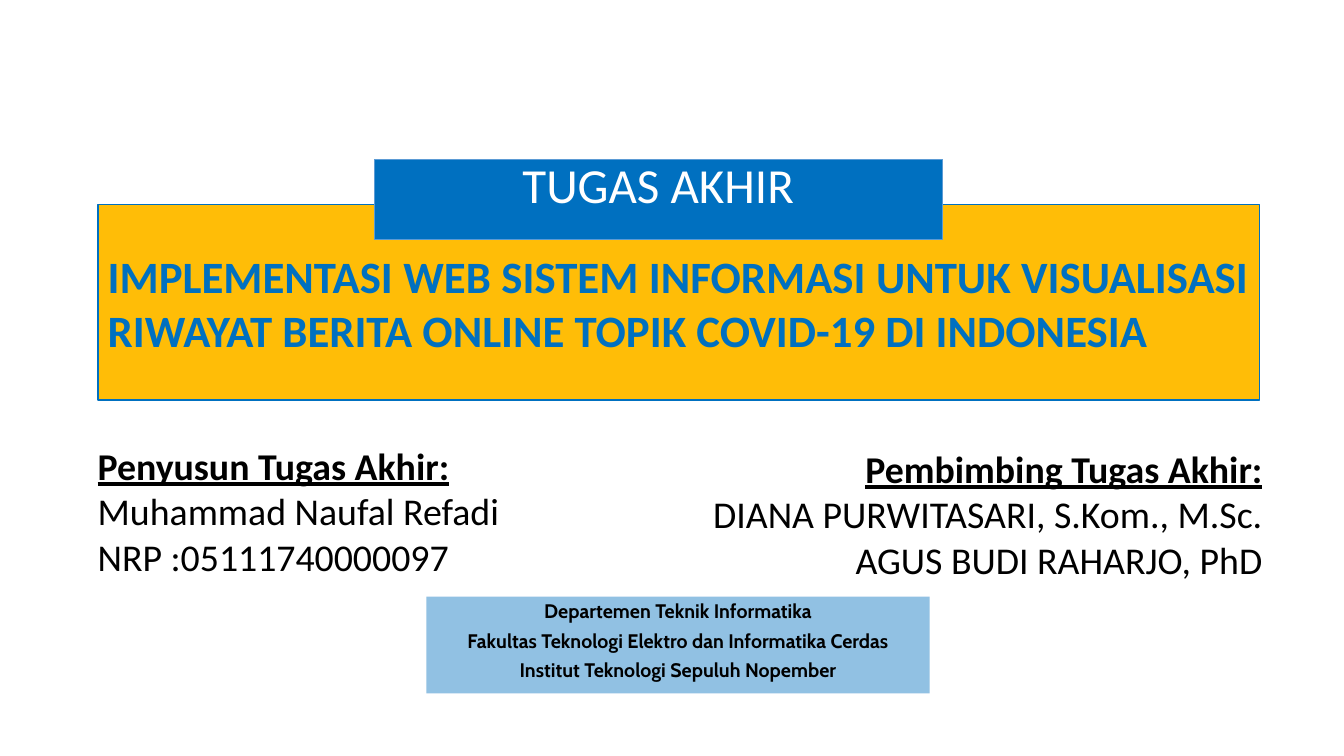
"""Build the title slide of a final-project presentation."""
from lxml import etree
from pptx import Presentation
from pptx import util as u
from pptx.dml.color import RGBColor
from pptx.enum import shapes, text
from pptx.oxml.ns import qn

COLORS = {
    "blue": "0070C0",
    "edge": "5B9BD5",
    "gold": "FFBD07",
    "black": "000000",
    "white": "FFFFFF",
}
ALIGN = text.PP_ALIGN
ANCHOR = text.MSO_ANCHOR


def color(name):
    """Return the named colour."""
    return RGBColor.from_string(COLORS[name])


def set_all(target, values):
    """Set each attribute of target from a dict."""
    for name, value in values.items():
        setattr(target, name, value)


def write(shape, lines, ink, font, layout, heading=None, frame=None):
    """Write one paragraph per line, the first with extra heading format."""
    set_all(shape.text_frame, {"word_wrap": True, **(frame or {})})
    shape.text_frame.text = "\n".join(lines)
    for index, paragraph in enumerate(shape.text_frame.paragraphs):
        set_all(paragraph, layout)
        set_all(paragraph.font, {**font, **(heading or {} if index == 0 else {})})
        paragraph.font.color.rgb = color(ink)


def add_panel(slide, box, fill, line=None, width=1, opacity=None):
    """Add a filled rectangle with an optional outline and opacity percent."""
    shape = slide.shapes.add_shape(
        shapes.MSO_SHAPE.RECTANGLE, *map(u.Inches, box))
    shape.shadow.inherit = False
    shape.fill.solid()
    shape.fill.fore_color.rgb = color(fill)
    if opacity:
        tone = shape.fill._xPr.find(qn("a:solidFill"))[0]
        etree.SubElement(tone, qn("a:alpha"), val=str(opacity * 1000))
    if line:
        shape.line.color.rgb = color(line)
        shape.line.width = u.Pt(width)
    else:
        shape.line.fill.background()
    return shape


def add_people(slide, box, lines, alignment):
    """Add a text box with an underlined heading above names."""
    shape = slide.shapes.add_textbox(*map(u.Inches, box))
    write(shape, lines, "black", {"name": "Calibri", "size": u.Pt(27)},
          {"alignment": alignment}, heading={"bold": True, "underline": True})


def main():
    """Build and save the slide."""
    presentation = Presentation()
    set_all(presentation, {"slide_width": u.Inches(13.33),
                           "slide_height": u.Inches(7.5)})
    slide = presentation.slides.add_slide(presentation.slide_layouts[6])

    title = add_panel(slide, (0.97, 2.03, 11.52, 1.94), "gold", "blue")
    write(title,
          ["IMPLEMENTASI WEB SISTEM INFORMASI UNTUK VISUALISASI "
           "RIWAYAT BERITA ONLINE TOPIK COVID-19 DI INDONESIA"],
          "blue", {"name": "Calibri", "size": u.Pt(32), "bold": True},
          {"alignment": ALIGN.JUSTIFY},
          frame={"vertical_anchor": ANCHOR.MIDDLE})

    add_people(slide, (0.87, 4.34, 4.77, 1.92),
               ["Penyusun Tugas Akhir:", "Muhammad Naufal Refadi",
                "NRP :05111740000097"], ALIGN.LEFT)
    add_people(slide, (6.35, 4.37, 6.27, 1.46),
               ["Pembimbing Tugas Akhir:", "DIANA PURWITASARI, S.Kom., M.Sc.",
                "AGUS BUDI RAHARJO, PhD"], ALIGN.RIGHT)

    label = add_panel(slide, (3.71, 1.58, 5.64, 0.79), "blue", "edge", 0.5)
    write(label, ["TUGAS AKHIR"], "white",
          {"name": "Calibri", "size": u.Pt(35)}, {"alignment": ALIGN.CENTER},
          frame={"vertical_anchor": ANCHOR.TOP, "margin_top": u.Inches(-0.05)})

    institute = add_panel(slide, (4.23, 5.92, 4.99, 0.96), "blue", opacity=43)
    write(institute,
          ["Departemen Teknik Informatika",
           "Fakultas Teknologi Elektro dan Informatika Cerdas",
           "Institut Teknologi Sepuluh Nopember"],
          "black", {"name": "Cabin", "size": u.Pt(14), "bold": True},
          {"alignment": ALIGN.CENTER, "line_spacing": 0.9,
           "space_after": u.Pt(6)},
          frame={"vertical_anchor": ANCHOR.TOP})

    presentation.save("out.pptx")


if __name__ == "__main__":
    main()
